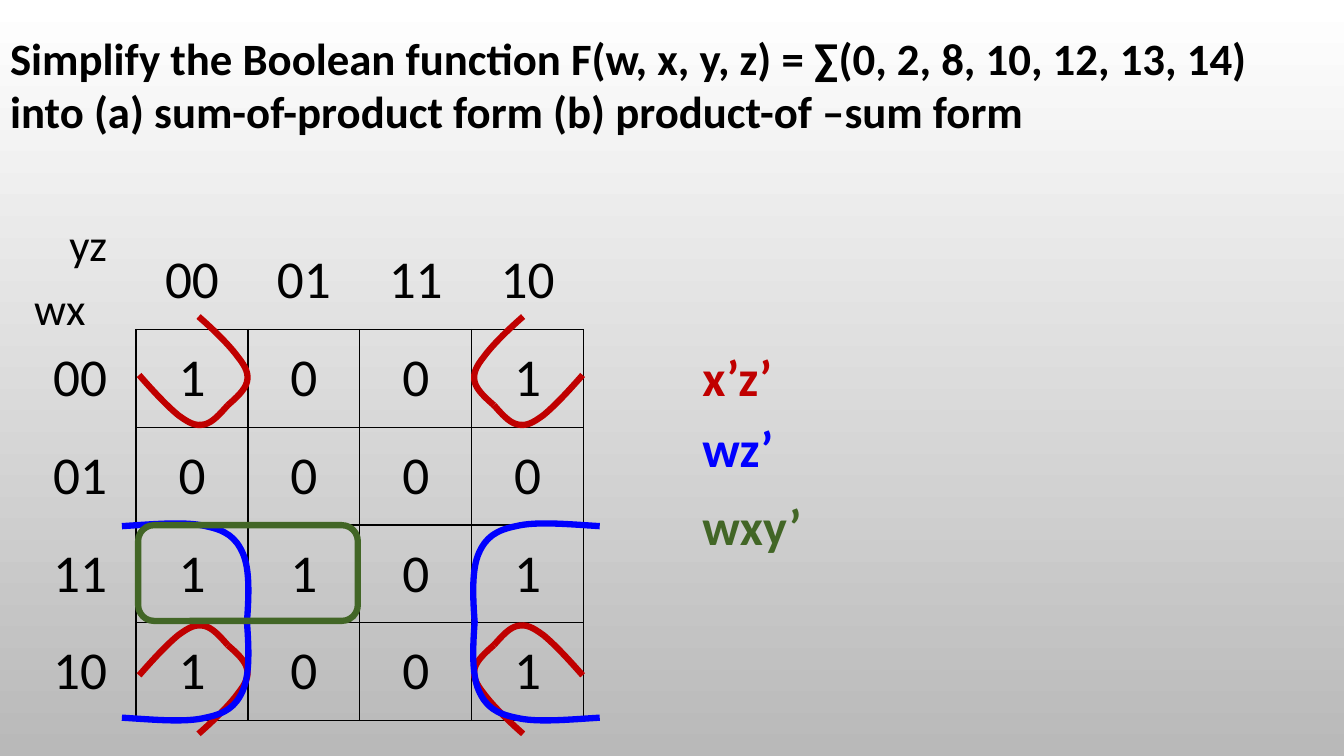
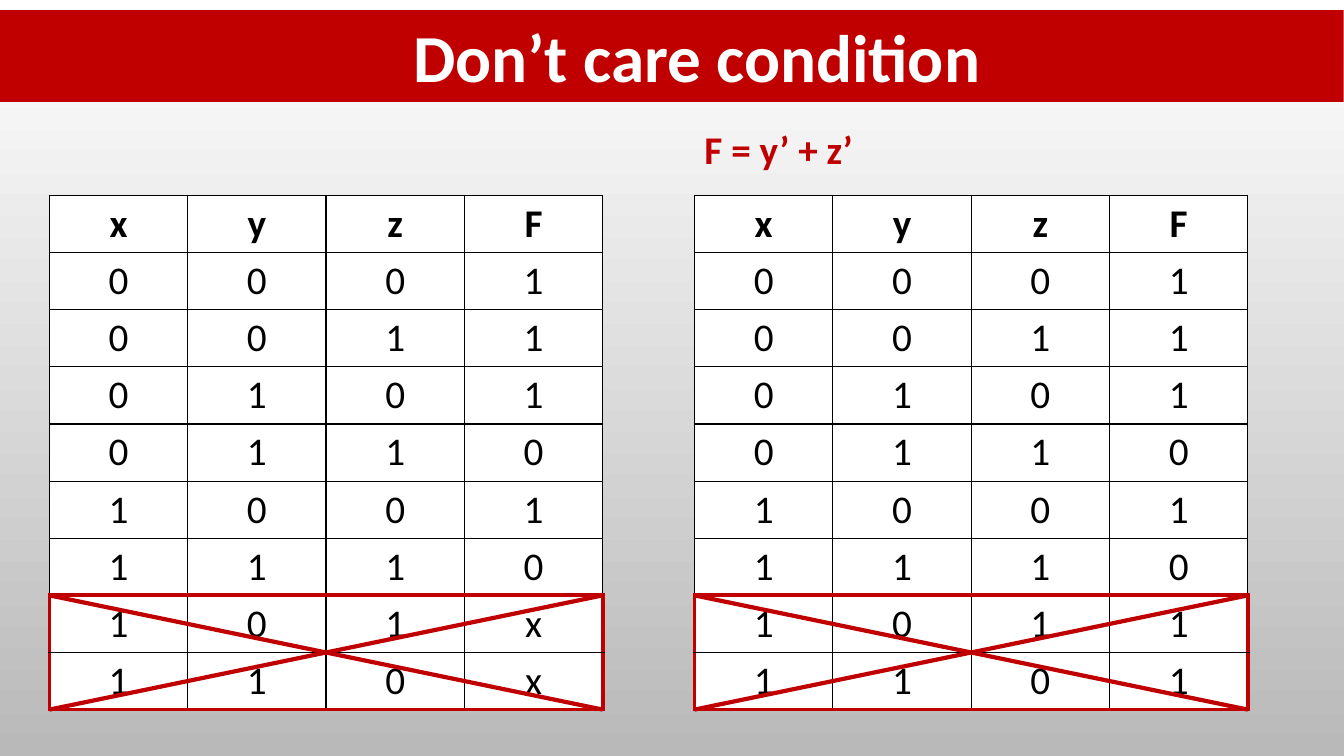
from itertools import pairwise

from lxml.etree import SubElement
from pptx import Presentation
from pptx.dml.color import RGBColor
from pptx.enum.shapes import MSO_CONNECTOR, MSO_SHAPE
from pptx.enum.text import MSO_ANCHOR as ANCHOR, MSO_AUTO_SIZE as AUTO, PP_ALIGN as ALIGN
from pptx.oxml.ns import qn
from pptx.oxml.xmlchemy import OxmlElement
from pptx.util import Pt

PX = 9144
FONT = "Calibri"
BLACK, WHITE, GRAY = "000000", "FFFFFF", "B9B9B9"
RED, BLUE, GREEN = "C00000", "0000FF", "426626"
LOOP_WIDTH = 4.5
THIN, CROSSED = (BLACK, 1), (RED, 3)

MAP_ROWS = [
    ["", "00", "01", "11", "10"],
    ["00", "1", "0", "0", "1"],
    ["01", "0", "0", "0", "0"],
    ["11", "1", "1", "0", "1"],
    ["10", "1", "0", "0", "1"],
]
TRUTH_INPUTS = ["000", "001", "010", "011", "100", "111", "101", "110"]
CORNER_LOWER = [
    (3, 45), (17, 61), (31, 76), (42, 85), (53, 93),
    (59, 96), (68, 94), (76, 92), (83, 84), (91, 75),
]
CORNER_UPPER = [
    (62, -13), (78, 1), (93, 16), (101, 27), (109, 37),
    (112, 44), (110, 52), (108, 60), (99, 68), (91, 75),
]
SIDE_UPPER = [
    (-14, 195), (18, 193), (49, 190), (69, 195), (89, 199),
    (99, 206), (106, 222), (113, 238), (112, 264), (110, 291),
]


def px(n):
    return round(n * PX)


def rgb(color):
    return RGBColor.from_string(color)


def write(tf, text, size=32, color=BLACK, bold=False, align=ALIGN.LEFT, anchor=ANCHOR.TOP):
    tf.vertical_anchor = anchor
    for i, line in enumerate(text.split("\n")):
        p = tf.add_paragraph() if i else tf.paragraphs[0]
        p.alignment = align
        r = p.add_run()
        r.text = line
        r.font.name, r.font.size, r.font.bold = FONT, Pt(size), bold
        r.font.color.rgb = rgb(color)


def title(s, box, text, **fmt):
    sp = s.shapes.title
    sp.left, sp.top, sp.width, sp.height = map(px, box)
    tf = sp.text_frame
    tf.word_wrap, tf.auto_size = True, AUTO.NONE
    write(tf, text, bold=True, **fmt)
    return sp


def label(s, box, text, **fmt):
    tf = s.shapes.add_textbox(*map(px, box)).text_frame
    tf.word_wrap = False
    write(tf, text, **fmt)


def outline(sp, color, width):
    sp.line.color.rgb = rgb(color)
    sp.line.width = Pt(width)


def set_borders(cell, left, right, top, bottom):
    tc_pr = cell._tc.get_or_add_tcPr()
    for i, (side, edge) in enumerate(zip("LRTB", (left, right, top, bottom))):
        ln = OxmlElement(f"a:ln{side}")
        if edge:
            color, width = edge
            ln.set("w", str(Pt(width)))
            fill = SubElement(ln, qn("a:solidFill"))
            SubElement(fill, qn("a:srgbClr")).set("val", color)
        else:
            SubElement(ln, qn("a:noFill"))
        tc_pr.insert(i, ln)


def grid_table(s, box, rows, size, edges, fill=None, bold_header=False):
    table = s.shapes.add_table(len(rows), len(rows[0]), *map(px, box)).table
    table.first_row = table.horz_banding = False
    for r, row in enumerate(rows):
        for c, text in enumerate(row):
            cell = table.cell(r, c)
            cell.margin_top = cell.margin_bottom = px(4)
            if fill:
                cell.fill.solid()
                cell.fill.fore_color.rgb = rgb(fill)
            else:
                cell.fill.background()
            if text:
                write(cell.text_frame, text, size=size, bold=bold_header and r == 0, align=ALIGN.CENTER)
            cell.vertical_anchor = ANCHOR.MIDDLE
            set_borders(cell, *edges(r, c))


def map_edges(r, c):
    if r and c:
        return [THIN] * 4
    return None, THIN if r else None, None, THIN if c else None


def truth_edges(r, c):
    def edge(crossed):
        return CROSSED if crossed else THIN

    return edge(r > 6 and c == 0), edge(r > 6 and c == 3), edge(r == 7), edge(r in (6, 8))


def curve(shapes, x, y, points, color):
    start, *rest = [(px(x + dx), px(y + dy)) for dx, dy in points]
    builder = shapes.build_freeform(*start, scale=1.0)
    builder.add_line_segments(rest, close=False)
    sp = builder.convert_to_shape()
    segments = list(sp._element.iter(qn("a:lnTo")))
    for i in range(0, len(segments), 3):
        bezier = OxmlElement("a:cubicBezTo")
        segments[i].addprevious(bezier)
        for segment in segments[i:i + 3]:
            bezier.append(segment[0])
            segment.getparent().remove(segment)
    sp.shadow.inherit = False
    sp.fill.background()
    outline(sp, color, LOOP_WIDTH)


def loop(s, x, y, halves, color):
    shapes = s.shapes.add_group_shape().shapes
    for points in halves:
        curve(shapes, x, y, points, color)


def flip_x(halves, width):
    return [[(width - x, y) for x, y in points] for points in halves]


def flip_y(halves, height):
    return [[(x, height - y) for x, y in points] for points in halves]


def karnaugh_map(s, x, y, col=111, row=97):
    grid_table(s, (x, y, 5 * col, 5 * row), MAP_ROWS, 38, map_edges)
    label(s, (x, y + 44, 73, 64), "wx")
    label(s, (x + 35, y - 20, 62, 64), "yz")
    left, top, width, height = x + col, y + row, 4 * col + 2, 4 * row
    corner = [CORNER_LOWER, CORNER_UPPER]
    for halves in (corner, flip_y(corner, height)):
        loop(s, left, top, halves, RED)
        loop(s, left, top, flip_x(halves, width), RED)
    side = [SIDE_UPPER] + flip_y([SIDE_UPPER], 6 * row - 2)
    loop(s, left, top, side, BLUE)
    loop(s, left, top, flip_x(side, width), BLUE)
    pair = s.shapes.add_shape(
        MSO_SHAPE.ROUNDED_RECTANGLE, *map(px, (left + 2, top + 2 * row, 2 * col - 4, row - 2))
    )
    pair.shadow.inherit = False
    pair.fill.background()
    outline(pair, GREEN, LOOP_WIDTH)


def product_terms(s, x, y):
    for dy, text, color, width in ((0, "x’z’", RED, 98), (71, "wz’", BLUE, 98), (148, "wxy’", GREEN, 127)):
        label(s, (x, y + dy, width, 71), text, size=36, color=color, bold=True)


def truth_table(s, x, y, outputs, width=549, height=510):
    rows = [list("xyzF")] + [list(i + f) for i, f in zip(TRUTH_INPUTS, outputs)]
    grid_table(s, (x, y, width, height), rows, 28, truth_edges, fill=WHITE, bold_header=True)
    top, bottom = y + height * 7 / 9, y + height
    for x1, x2 in pairwise((x, x + width, x)):
        line = s.shapes.add_connector(MSO_CONNECTOR.STRAIGHT, *map(px, (x1, top, x2, bottom)))
        outline(line, *CROSSED)
        SubElement(line._element.spPr, qn("a:effectLst"))


def simplify_slide(s):
    title(
        s, (0, 25, 1333, 118),
        "Simplify the Boolean function F(w, x, y, z) = ∑(0, 2, 8, 10, 12, 13, 14)\n"
        "into (a) sum-of-product form (b) product-of –sum form",
    )
    karnaugh_map(s, 24, 230)
    product_terms(s, 687, 338)


def dont_care_slide(s):
    band = title(
        s, (0, 10, 1333, 91), "Don’t care condition",
        size=48, color=WHITE, align=ALIGN.CENTER, anchor=ANCHOR.MIDDLE,
    )
    band.fill.solid()
    band.fill.fore_color.rgb = rgb(RED)
    band.text_frame.margin_left = px(60)
    truth_table(s, 49, 194, "111010xx")
    label(s, (689, 119, 218, 57), "F = y’ + z’", size=28, color=RED, bold=True)
    truth_table(s, 689, 194, "11101011")


def main():
    prs = Presentation()
    prs.slide_height = px(750)
    prs.slide_width = prs.slide_height * 16 // 9
    fill = prs.slide_master.background.fill
    fill.gradient()
    fill.gradient_angle = 270
    for stop, color, position in zip(fill.gradient_stops, (WHITE, GRAY), (0, 1)):
        stop.color.rgb = rgb(color)
        stop.position = position
    for build in (simplify_slide, dont_care_slide):
        build(prs.slides.add_slide(prs.slide_layouts[5]))
    prs.save("out.pptx")


if __name__ == "__main__":
    main()
